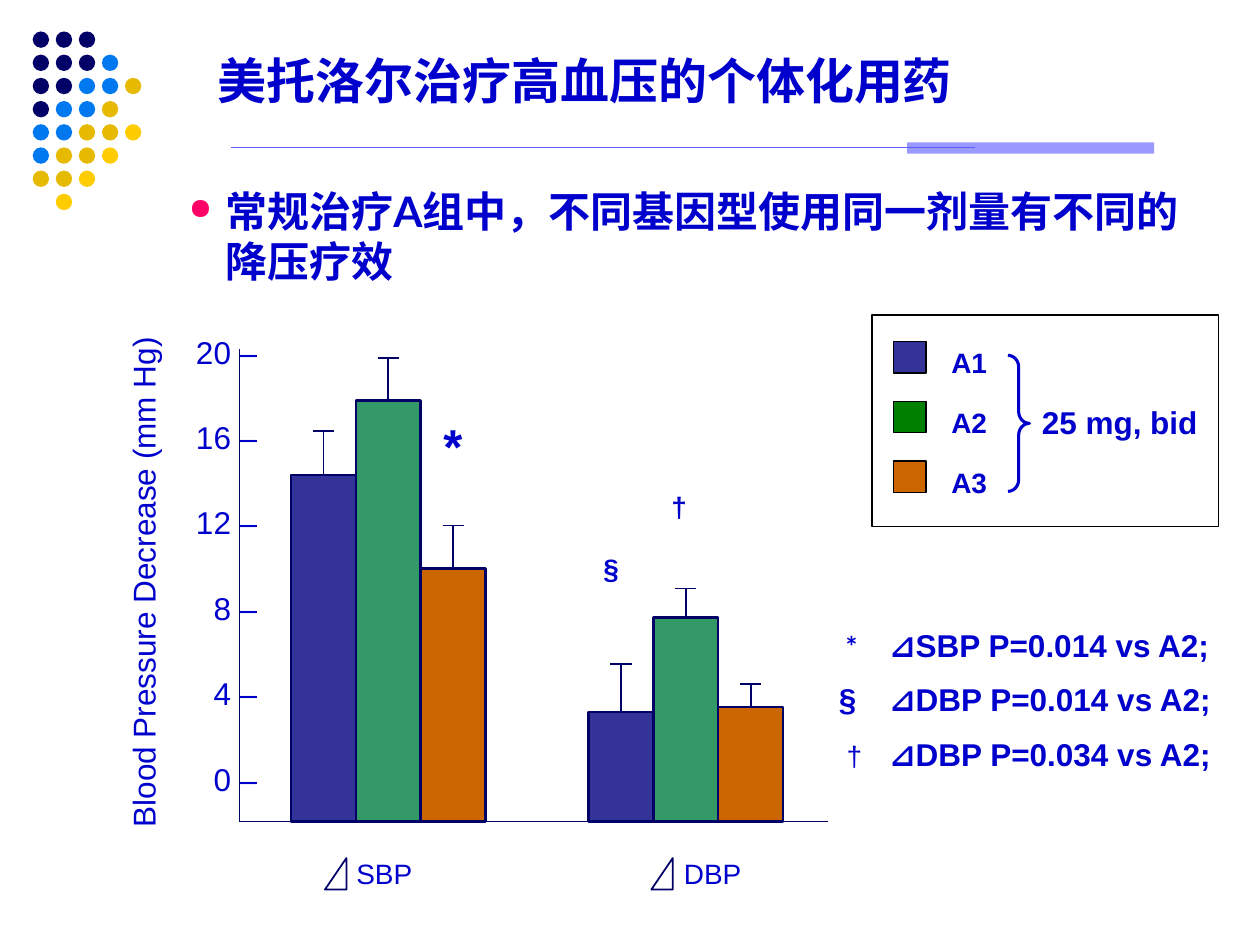
from pptx import Presentation
from pptx import util as u
from pptx.dml.color import RGBColor
from pptx.enum import shapes, text
from pptx.oxml import parse_xml
from pptx.oxml.ns import nsdecls

Inches, Pt = u.Inches, u.Pt
KIND = shapes.MSO_SHAPE
COLORS = {
    "ink": "0000CC", "navy": "000066", "sky": "0078F0", "gold": "E6BA00",
    "yellow": "FFCC00", "lilac": "9999FF", "rule": "5D5DFF", "pink": "FF0066",
    "a1": "333399", "a2": "339966", "a2 key": "008000", "a3": "CC6600",
    "black": "000000",
}

prs = Presentation()
prs.slide_width, prs.slide_height = Inches(10), Inches(7.5)
slide = prs.slides.add_slide(prs.slide_layouts[5])
rgb = {name: RGBColor.from_string(value) for name, value in COLORS.items()}


def add_part(kind, box, fill=None, line=None, width=1):
    """Add a preset shape, or a straight line when kind is None."""
    ends = [Inches(v) for v in box]
    if kind is None:
        part = slide.shapes.add_connector(shapes.MSO_CONNECTOR.STRAIGHT, *ends)
        part._element.spPr.append(parse_xml(f"<a:effectLst {nsdecls('a')}/>"))
    else:
        part = slide.shapes.add_shape(kind, *ends)
        part.shadow.inherit = False
        if fill:
            part.fill.solid()
            part.fill.fore_color.rgb = rgb[fill]
        else:
            part.fill.background()
    if line:
        part.line.color.rgb = rgb[line]
        part.line.width = Pt(width)
    else:
        part.line.fill.background()
    return part


def add_label(box, words, size, bold=False, font="Arial", gap=0):
    """Add a text box; each line of words is a paragraph, gap is the space between."""
    label = slide.shapes.add_textbox(*[Inches(v) for v in box])
    frame = label.text_frame
    frame.word_wrap = True
    frame.text = words
    for index, paragraph in enumerate(frame.paragraphs):
        if index:
            paragraph.space_before = Pt(gap)
        for run in paragraph.runs:
            run.font.name, run.font.size, run.font.bold = font, Pt(size), bold
            run.font.color.rgb = rgb["ink"]
    return label


# Dot pattern in the corner
dot_colors = {"n": "navy", "s": "sky", "g": "gold", "y": "yellow"}
dot_rows = ["nnn", "nnns", "nnssg", "nssg", "ssggy", "sggy", "ggy", " y"]
for row, dots in enumerate(dot_rows):
    for column, dot in enumerate(dots):
        if dot in dot_colors:
            add_part(KIND.OVAL, (0.26 + 0.183 * column, 0.25 + 0.184 * row, 0.13, 0.13),
                     dot_colors[dot])

# Title and its rule
add_part(KIND.RECTANGLE, (7.2, 1.13, 1.96, 0.09), "lilac")
add_part(None, (1.83, 1.17, 7.74, 1.17), line="rule", width=0.75)
title = slide.shapes.title
title.left, title.top, title.width, title.height = [
    Inches(v) for v in (1.63, 0.42, 7.95, 0.5)]
title.text_frame.text = "美托洛尔治疗高血压的个体化用药"
title.text_frame.auto_size = text.MSO_AUTO_SIZE.NONE
title.text_frame.vertical_anchor = text.MSO_ANCHOR.TOP
heading = title.text_frame.paragraphs[0]
heading.alignment = text.PP_ALIGN.LEFT
heading.line_spacing = 0.85
heading_font = heading.runs[0].font
heading_font.name, heading_font.size, heading_font.bold = "Arial", Pt(28), True
heading_font.color.rgb = rgb["ink"]

# Bulleted statement
statement = add_label((1.4, 1.42, 8.27, 0.9),
                      "常规治疗A组中，不同基因型使用同一剂量有不同的降压疗效", 24, True, "Lato")
bullet = statement.text_frame.paragraphs[0]._p.get_or_add_pPr()
bullet.set("marL", str(Inches(0.29)))
bullet.set("indent", str(-Inches(0.29)))
for xml in (f'<a:buClr {nsdecls("a")}><a:srgbClr val="{COLORS["pink"]}"/></a:buClr>',
            f'<a:buSzPct {nsdecls("a")} val="70000"/>',
            f'<a:buChar {nsdecls("a")} char="●"/>'):
    bullet.append(parse_xml(xml))

# Axes
scale = add_label((1.39, 2.59, 0.75, 4.84),
                  "\n".join(f"{value} –" for value in range(20, -1, -4)), 18, gap=27.2)
for paragraph in scale.text_frame.paragraphs:
    paragraph.alignment = text.PP_ALIGN.RIGHT
axis_title = add_label((-1.24, 4.09, 4.75, 0.4), "Blood Pressure Decrease (mm Hg)", 18)
axis_title.rotation = 270
base = 6.52
add_part(None, (1.9, 2.77, 1.9, base), line="navy")
add_part(None, (1.9, base, 6.57, base), line="navy")

# Bars with error bars: left edge, then (bar top, error cap) for A1, A2, A3
groups = [
    (2.31, [(3.77, 3.42), (3.18, 2.84), (4.51, 4.17)]),
    (4.67, [(5.65, 5.27), (4.9, 4.67), (5.61, 5.43)]),
]
bar_width = 0.515
for left, bars in groups:
    for index, (top, cap) in enumerate(bars):
        x = left + index * bar_width
        middle = x + bar_width / 2
        add_part(KIND.RECTANGLE, (x, top, bar_width, base - top),
                 f"a{index + 1}", "navy", 1.5)
        add_part(None, (middle, top, middle, cap), line="navy")
        add_part(None, (middle - 0.085, cap, middle + 0.085, cap), line="navy")

# Group names with delta triangles
for name, name_left, delta_left in (("SBP", 2.73, 2.58), ("DBP", 5.33, 5.17)):
    add_label((name_left, 6.75, 0.92, 0.37), name, 16)
    delta = add_part(KIND.RIGHT_TRIANGLE, (delta_left, 6.81, 0.17, 0.25), line="navy")
    delta._element.spPr.xfrm.set("flipH", "1")

# Significance marks
add_label((3.42, 3.25, 0.3, 0.57), "*", 28, True)
add_label((4.69, 4.33, 0.4, 0.37), "§", 16, True)
add_label((5.23, 3.84, 0.35, 0.37), "†", 16, True)

# Legend
legend = add_part(KIND.RECTANGLE, (6.92, 2.5, 2.75, 1.68), line="black")
frame = legend.text_frame
frame.margin_left, frame.margin_top, frame.margin_bottom = Inches(0.63), Inches(0.16), Inches(0.2)
frame.vertical_anchor = text.MSO_ANCHOR.TOP
frame.text = "A1\nA2\nA3"
for index, paragraph in enumerate(frame.paragraphs):
    paragraph.alignment = text.PP_ALIGN.LEFT
    paragraph.line_spacing = 1.3
    paragraph.space_before = Pt(9.3 if index else 0)
    key_font = paragraph.runs[0].font
    key_font.name, key_font.size, key_font.bold = "Arial", Pt(16), True
    key_font.color.rgb = rgb["ink"]
for index, key in enumerate(("a1", "a2 key", "a3")):
    add_part(KIND.RECTANGLE, (7.09, 2.71 + 0.475 * index, 0.26, 0.25), key, "black", 0.75)
brace = add_part(KIND.RIGHT_BRACE, (8, 2.82, 0.17, 1.08), line="ink", width=1.75)
brace.adjustments[0] = 0.542
add_label((8.17, 3.15, 1.5, 0.4), "25 mg, bid", 18, True)

# P values
notes = add_label((6.56, 4.92, 3.77, 1.3),
                  " *\t⊿SBP P=0.014 vs A2;\n§\t⊿DBP P=0.014 vs A2;\n †\t⊿DBP P=0.034 vs A2;",
                  18, True, gap=9.5)
for paragraph in notes.text_frame.paragraphs:
    hanging = paragraph._p.get_or_add_pPr()
    hanging.set("marL", str(Inches(0.4)))
    hanging.set("indent", str(-Inches(0.4)))
    mark, note = paragraph.runs[0].text.split("\t")
    paragraph.runs[0].text = mark
    mark_font = paragraph.runs[0].font
    if mark != "§":
        mark_font.size = Pt(16)
    mark_font.name = "Lato" if "*" in mark else "Arial"
    mark_font.bold = "†" not in mark
    rest = paragraph.add_run()
    rest.text = "\t" + note
    rest.font.name, rest.font.size, rest.font.bold = "Arial", Pt(18), True
    rest.font.color.rgb = rgb["ink"]

prs.save("out.pptx")
